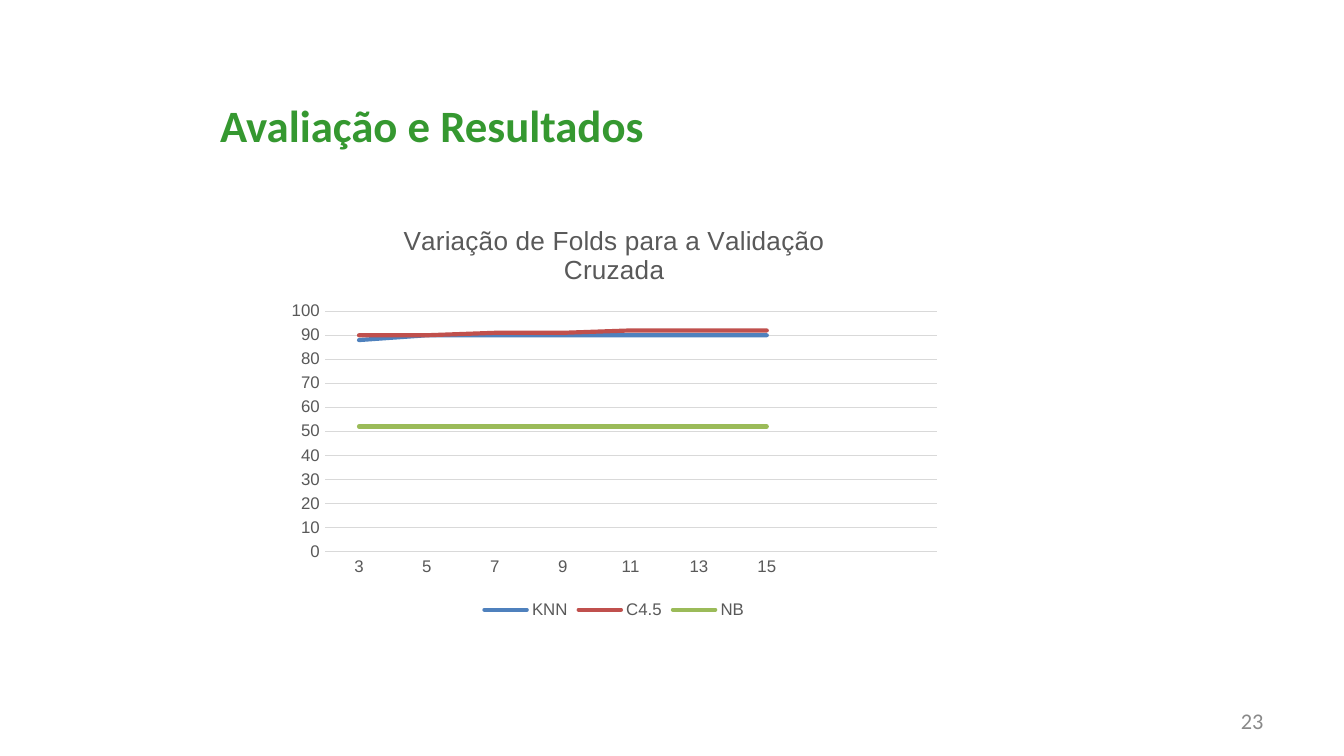
from pptx import Presentation
from pptx.chart.data import CategoryChartData
from pptx.dml.color import RGBColor
from pptx.enum.chart import XL_CHART_TYPE as CT, XL_LEGEND_POSITION as LP, XL_TICK_MARK as TM
from pptx.enum.text import MSO_ANCHOR as VA, PP_ALIGN as AL
from pptx.oxml.ns import qn
from pptx.util import Inches, Pt

COLORS = {"title": "359830", "number": "898989", "label": "595959", "grid": "D9D9D9",
          "KNN": "4F81BD", "C4.5": "C0504D", "NB": "9BBB59"}
TITLE = "Avaliação e Resultados"
PAGE = "23"
CHART_TITLE = "Variação de Folds para a Validação Cruzada"
FOLDS = ["3", "5", "7", "9", "11", "13", "15", "", ""]
ACCURACY = {
    "KNN": [88, 90, 90, 90, 90, 90, 90, None, None],
    "C4.5": [90, 90, 91, 91, 92, 92, 92, None, None],
    "NB": [52, 52, 52, 52, 52, 52, 52, None, None],
}


def rgb(name):
    """Return the named colour."""
    return RGBColor.from_string(COLORS[name])


def style(font, size, color, face="Arial", bold=False):
    """Set size, colour, face and weight of a font."""
    font.size, font.name, font.bold = Pt(size), face, bold
    font.color.rgb = rgb(color)


def draw_line(fmt, color, width):
    """Give a line format a solid colour and width."""
    fmt.line.color.rgb = rgb(color)
    fmt.line.width = Pt(width)


def add_text(s, box, text, size, color, bold=False, align=AL.LEFT, anchor=VA.TOP):
    """Add a one-paragraph text box."""
    tf = s.shapes.add_textbox(*map(Inches, box)).text_frame
    tf.word_wrap, tf.vertical_anchor = True, anchor
    p = tf.paragraphs[0]
    p.text, p.alignment = text, align
    style(p.font, size, color, "Calibri", bold)


def add_line_chart(s, box):
    """Add the line chart of accuracy by number of folds."""
    data = CategoryChartData()
    data.categories = FOLDS
    for name, values in ACCURACY.items():
        data.add_series(name, values)
    chart = s.shapes.add_chart(CT.LINE, *map(Inches, box), data).chart
    style(chart.font, 10, "label")

    chart.has_title = True
    p = chart.chart_title.text_frame.paragraphs[0]
    p.text = CHART_TITLE
    style(p.font, 14, "label")
    chart.chart_title.include_in_layout = False

    chart.has_legend = True
    chart.legend.position = LP.BOTTOM
    chart.legend.include_in_layout = False
    style(chart.legend.font, 9, "label")

    cat, val = chart.category_axis, chart.value_axis
    for axis in (cat, val):
        axis.major_tick_mark = axis.minor_tick_mark = TM.NONE
        style(axis.tick_labels.font, 9, "label")
    draw_line(cat.format, "grid", 0.75)
    val.format.line.fill.background()
    val.minimum_scale, val.maximum_scale, val.major_unit = 0, 100, 10
    draw_line(val.major_gridlines.format, "grid", 0.75)

    for series in chart.plots[0].series:
        series.smooth = False
        draw_line(series.format, series.name, 2.25)
        series.format.line._ln.set("cap", "rnd")
        series.format.line._ln.append(series._element.makeelement(qn("a:round"), {}))


prs = Presentation()
prs.slide_width = Inches(10)
prs.slide_height = prs.slide_width * 9 // 16
s = prs.slides.add_slide(prs.slide_layouts[6])
add_text(s, (1.54, 0.68, 7.73, 0.71), TITLE, 24, "title", bold=True)
add_text(s, (7.17, 5.21, 2.33, 0.3), PAGE, 12, "number", align=AL.RIGHT, anchor=VA.MIDDLE)
add_line_chart(s, (2.07, 1.51, 5, 3.14))
prs.save("out.pptx")
